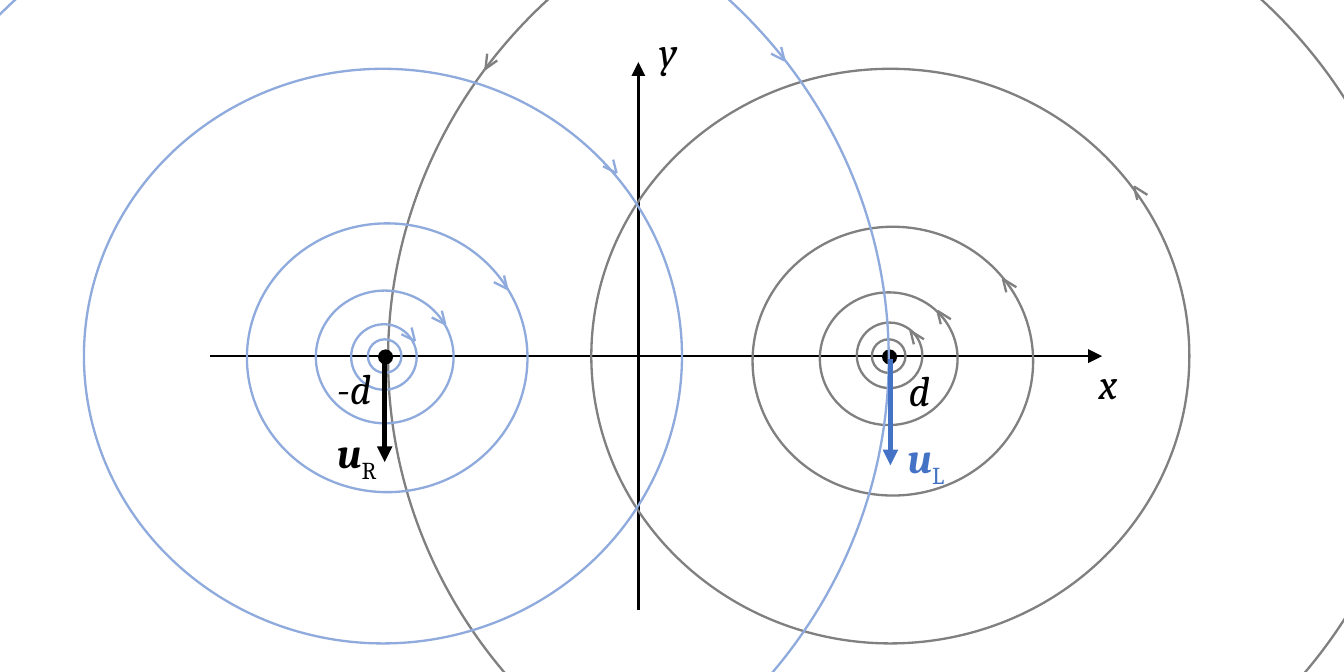
from lxml.etree import SubElement
from pptx import Presentation
from pptx.dml.color import RGBColor
from pptx.enum.shapes import MSO_CONNECTOR, MSO_SHAPE
from pptx.enum.text import MSO_AUTO_SIZE, PP_ALIGN
from pptx.oxml.ns import qn
from pptx.util import Inches, Pt

COLORS = {"black": "000000", "gray": "808080", "light": "8FAADC", "blue": "4472C4"}
FONT = "Cambria"

RING_SIZES = [(0.2, 0.2), (0.39, 0.39), (0.82, 0.79), (1.67, 1.6), (3.56, 3.42), (6.15, 5.91)]
DOT = 0.09
VORTICES = [
    {
        "color": "gray",
        "dot": (5.25, 2.08),
        "rings": [(5.19, 2.02), (5.1, 1.92), (4.88, 1.74), (4.48, 1.35), (3.52, 0.41), (2.31, -0.82)],
        "arms": [(0.08, 0.05), (0.02, 0.08)],
        "tips": [(5.42, 1.97), (5.58, 1.85), (5.97, 1.66), (6.75, 1.11)],
    },
    {
        "color": "light",
        "dot": (2.25, 2.08),
        "rings": [(2.19, 2.02), (2.09, 1.93), (1.88, 1.73), (1.47, 1.33), (0.5, 0.41), (-0.86, -0.82)],
        "arms": [(-0.08, -0.04), (-0.02, -0.08)],
        "tips": [(2.47, 2.03), (2.65, 1.93), (3.02, 1.72), (3.67, 1.03), (4.67, 0.36)],
    },
]
OUTER_GRAY_TIP = (2.89, 0.41)
OUTER_GRAY_ARMS = [(0.01, -0.09), (0.07, -0.05)]

AXES = [((3.8, 3.63), (3.8, 0.37)), ((1.25, 2.12), (6.56, 2.12))]
VELOCITIES = [((5.3, 2.14), (5.3, 2.77), "blue"), ((2.29, 2.12), (2.29, 2.75), "black")]
LABELS = [
    ("y", "", 3.8, 0.1, 0.33, "black"),
    ("x", "", 6.43, 2.08, 0.32, "black"),
    ("d", "", 5.31, 2.12, 0.32, "black"),
    ("-d", "", 1.9, 2.11, 0.41, "black"),
    ("u", "L", 5.27, 2.52, 0.45, "blue"),
    ("u", "R", 1.88, 2.49, 0.46, "black"),
]


def rgb(color):
    return RGBColor.from_string(COLORS[color])


def add_line(shapes, start, end, color, width=1, arrow=False):
    c = shapes.add_connector(MSO_CONNECTOR.STRAIGHT, *map(Inches, start + end))
    c.line.color.rgb = rgb(color)
    c.line.width = Pt(width)
    if arrow:
        SubElement(c.line._get_or_add_ln(), qn("a:tailEnd"), type="triangle")
    SubElement(c._element.spPr, qn("a:effectLst"))


def add_chevron(tip, arms, color):
    group = s.shapes.add_group_shape()
    for dx, dy in arms:
        add_line(group.shapes, tip, (tip[0] + dx, tip[1] + dy), color)


def add_ellipse(pos, size):
    sp = s.shapes.add_shape(MSO_SHAPE.OVAL, *map(Inches, pos + size))
    sp.shadow.inherit = False
    return sp


def add_label(text, sub, x, y, width, color):
    tf = s.shapes.add_textbox(Inches(x), Inches(y), Inches(width), Inches(0.4)).text_frame
    tf.word_wrap = False
    tf.auto_size = MSO_AUTO_SIZE.SHAPE_TO_FIT_TEXT
    p = tf.paragraphs[0]
    p.text = text
    p.alignment = PP_ALIGN.RIGHT
    if sub:
        p.add_run().text = sub
    for i, r in enumerate(p.runs):
        r.font.name = FONT
        r.font.size = Pt(18)
        r.font.color.rgb = rgb(color)
        r.font.italic = i == 0
        r.font.bold = i == 0 and bool(sub)
        if i:
            r._r.get_or_add_rPr().set("baseline", "-25000")


prs = Presentation()
prs.slide_width, prs.slide_height = Inches(8), Inches(4)
s = prs.slides.add_slide(prs.slide_layouts[6])

for start, end in AXES:
    add_line(s.shapes, start, end, "black", arrow=True)

for vortex in VORTICES:
    dot = add_ellipse(vortex["dot"], (DOT, DOT))
    dot.fill.solid()
    dot.fill.fore_color.rgb = rgb("black")
    dot.line.fill.background()
    for pos, size in zip(vortex["rings"], RING_SIZES):
        ring = add_ellipse(pos, size)
        ring.fill.background()
        ring.line.color.rgb = rgb(vortex["color"])
        ring.line.width = Pt(1)
    for tip in vortex["tips"]:
        add_chevron(tip, vortex["arms"], vortex["color"])
add_chevron(OUTER_GRAY_TIP, OUTER_GRAY_ARMS, "gray")

for start, end, color in VELOCITIES:
    add_line(s.shapes, start, end, color, 2.25, arrow=True)

for label in LABELS:
    add_label(*label)

prs.save("out.pptx")
